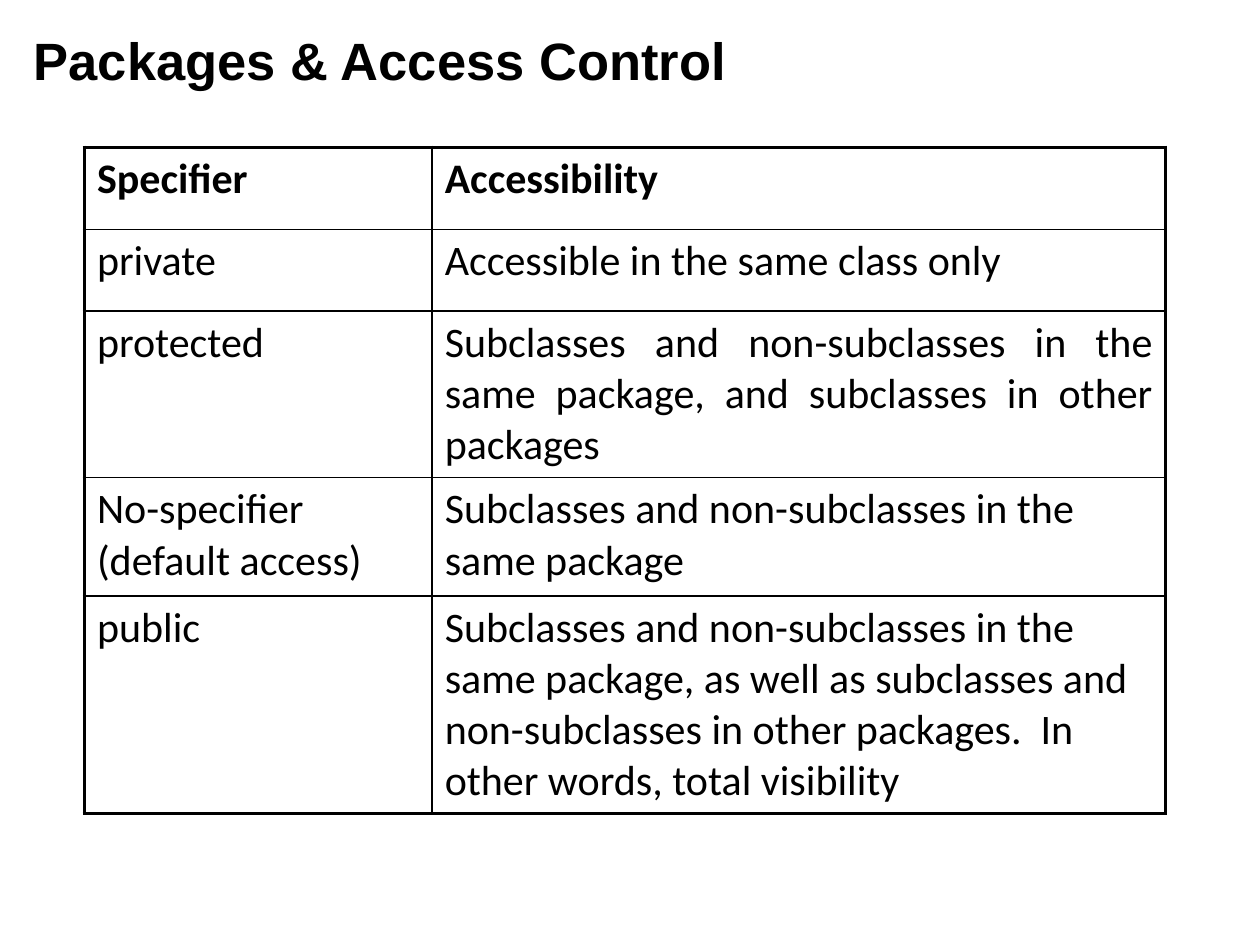
import pptx
import pptx.dml.color
import pptx.enum.text
import pptx.oxml.ns
import pptx.util
from lxml import etree

Inches = pptx.util.Inches
Pt = pptx.util.Pt
ALIGN = pptx.enum.text.PP_ALIGN
BLACK = "000000"
THICK, THIN = 2.25, 1

ACCESS_RULES = [
    ("Specifier", "Accessibility"),
    ("private", "Accessible in the same class only"),
    ("protected", "Subclasses and non-subclasses in the same package, "
                  "and subclasses in other packages"),
    ("No-specifier (default access)",
     "Subclasses and non-subclasses in the same package"),
    ("public", "Subclasses and non-subclasses in the same package, as well as "
               "subclasses and non-subclasses in other packages.  "
               "In other words, total visibility"),
]
COLUMN_WIDTHS = [2.76, 5.82]
ROW_HEIGHTS = [0.65, 0.65, 1.3, 0.94, 1.72]


def color(value):
    return pptx.dml.color.RGBColor.from_string(value)


def write(frame, text, font="Calibri", size=24, bold=False, fill=BLACK,
          align=ALIGN.LEFT):
    frame.word_wrap = True
    para = frame.paragraphs[0]
    para.alignment = align
    span = para.add_run()
    span.text = text
    span.font.name = font
    span.font.size = Pt(size)
    span.font.bold = bold
    span.font.color.rgb = color(fill)


def set_borders(cell, widths, stroke=BLACK):
    """Draw the left, right, top and bottom borders, in that order."""
    qn = pptx.oxml.ns.qn
    properties = cell._tc.get_or_add_tcPr()
    for side, width in zip("LRTB", widths):
        line = etree.SubElement(properties, qn(f"a:ln{side}"), w=str(Pt(width)))
        solid = etree.SubElement(line, qn("a:solidFill"))
        etree.SubElement(solid, qn("a:srgbClr"), val=stroke)


def add_title(page, left, top, width, height):
    box = page.shapes.add_textbox(*map(Inches, (left, top, width, height)))
    write(box.text_frame, "Packages & Access Control",
          font="Arial", size=30, bold=True)


def add_access_table(page, left, top):
    row_count, column_count = len(ROW_HEIGHTS), len(COLUMN_WIDTHS)
    frame = page.shapes.add_table(
        row_count, column_count, Inches(left), Inches(top),
        Inches(sum(COLUMN_WIDTHS)), Inches(sum(ROW_HEIGHTS)))
    table = frame.table
    table.first_row = table.horz_banding = False
    for column, width in zip(table.columns, COLUMN_WIDTHS):
        column.width = Inches(width)
    for row, height in zip(table.rows, ROW_HEIGHTS):
        row.height = Inches(height)

    # Thick frame outside, thin rules inside
    for r, texts in enumerate(ACCESS_RULES):
        for c, text in enumerate(texts):
            cell = table.cell(r, c)
            outer = (c == 0, c == column_count - 1, r == 0, r == row_count - 1)
            set_borders(cell, [THICK if edge else THIN for edge in outer])
            cell.fill.background()
            justified = (r, c) == (2, 1)
            write(cell.text_frame, text, bold=r == 0,
                  align=ALIGN.JUSTIFY if justified else ALIGN.LEFT)


# Deck
deck = pptx.Presentation()
deck.slide_width, deck.slide_height = Inches(10), Inches(7.5)
page = deck.slides.add_slide(deck.slide_layouts[6])
add_access_table(page, 0.67, 1.17)
add_title(page, 0.17, 0.17, 8.27, 0.58)
deck.save("out.pptx")
